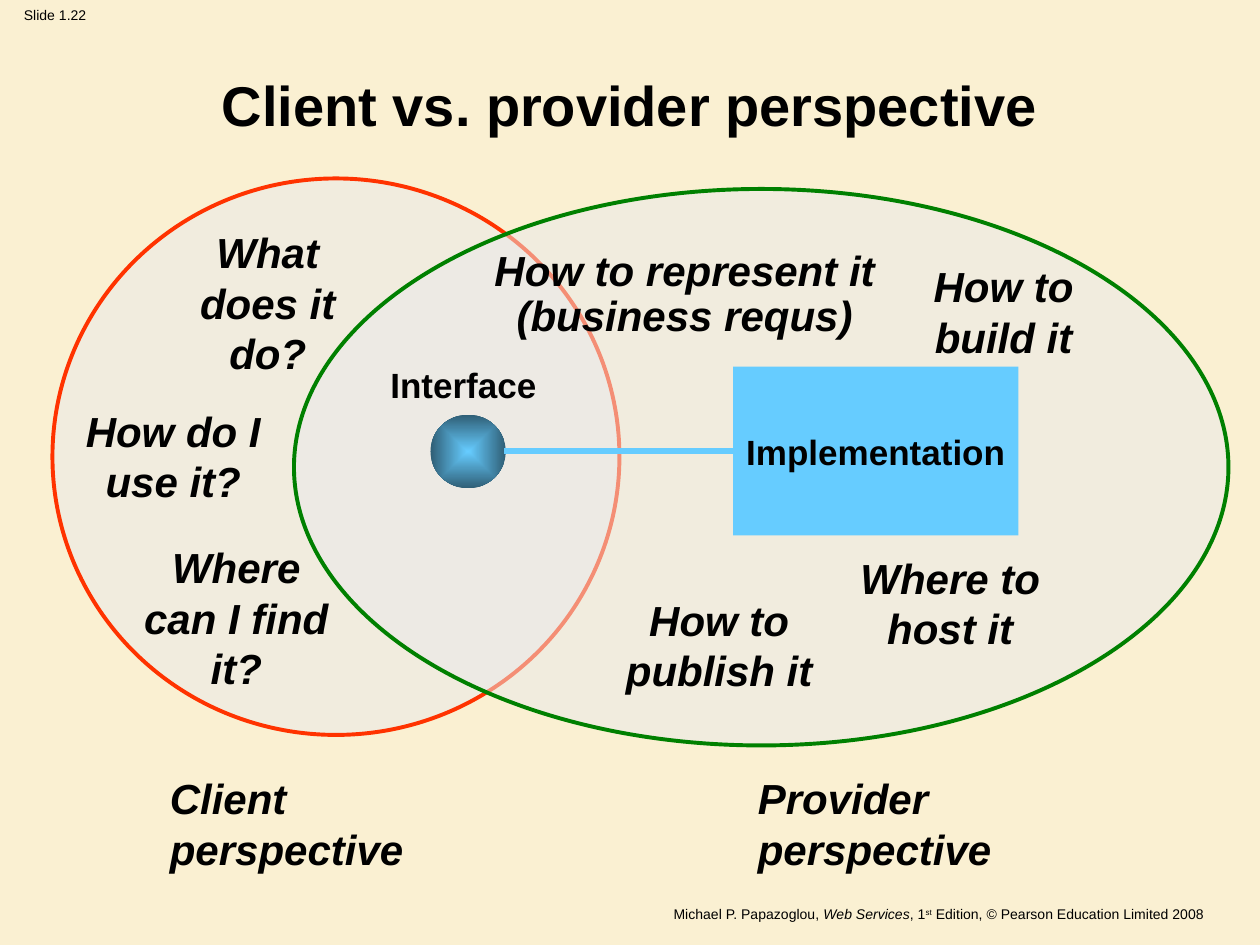
from dataclasses import dataclass
from lxml.etree import SubElement
from pptx import Presentation
from pptx.dml.color import RGBColor
from pptx.enum.shapes import MSO_CONNECTOR, MSO_SHAPE
from pptx.enum.text import MSO_ANCHOR, PP_ALIGN
from pptx.oxml import parse_xml
from pptx.oxml.ns import nsdecls, qn
from pptx.util import Pt


@dataclass(frozen=True)
class Theme:
    font: str = "Arial"
    background: str = "FAF0D2"
    text: str = "000000"
    oval: str = "EAEAEA"
    client: str = "FF3300"
    provider: str = "008000"
    service: str = "66CCFF"
    service_dark: str = "2F5E75"
    title_size: int = 32
    question_size: int = 24
    label_size: int = 20
    small_size: int = 8


THEME = Theme()
QUESTION = {"size": Pt(THEME.question_size), "bold": True, "italic": True}
LABEL = {"size": Pt(THEME.label_size), "bold": True}
TITLE = {"size": Pt(THEME.title_size), "bold": True}
SMALL = {"size": Pt(THEME.small_size)}

# Text, left, top, width, height, line spacing
QUESTIONS = [
    ("What does it do?", 90, 126, 126, 94, 1),
    ("How to represent it (business requs)", 275, 139.5, 232.5, 59, 0.9),
    ("How do I use it?", 36, 228, 126, 65, 1),
    ("Where can I find it?", 72, 306, 126, 94, 1),
    ("Where to host it", 474, 312, 138, 65, 1),
    ("How to publish it", 342, 336, 138, 65, 1),
    ("How to build it", 507.5, 145.5, 132, 65, 1),
]
CAPTIONS = [("Client perspective", 90), ("Provider perspective", 426)]


def set_values(target, values):
    for name, value in values.items():
        setattr(target, name, value)


def add_span(para, text, style):
    span = para.add_run()
    span.text = text
    set_values(span.font, {"name": THEME.font, **style})
    span.font.color.rgb = RGBColor.from_string(THEME.text)
    return span


def add_text(page, text, bounds, style, align=PP_ALIGN.CENTER,
             anchor=MSO_ANCHOR.TOP, wrap=True, spacing=1):
    box = page.shapes.add_textbox(*map(Pt, bounds))
    set_values(box.text_frame, {"word_wrap": wrap, "vertical_anchor": anchor})
    para = box.text_frame.paragraphs[0]
    set_values(para, {"alignment": align, "line_spacing": spacing})
    if text:
        add_span(para, text, style)
    return para


def add_solid(page, kind, bounds, color):
    shape = page.shapes.add_shape(kind, *map(Pt, bounds))
    shape.shadow.inherit = False
    shape.fill.solid()
    shape.fill.fore_color.rgb = RGBColor.from_string(color)
    shape.line.fill.background()
    return shape


def add_perspective(page, bounds, outline):
    oval = add_solid(page, MSO_SHAPE.OVAL, bounds, THEME.oval)
    oval.line.color.rgb = RGBColor.from_string(outline)
    oval.line.width = Pt(2.25)
    color = oval._element.spPr.find(qn("a:solidFill")).find(qn("a:srgbClr"))
    SubElement(color, qn("a:alpha"), val="50000")


def add_interface_ball(page, bounds):
    ball = add_solid(page, MSO_SHAPE.OVAL, bounds, THEME.service)
    properties = ball._element.spPr
    gradient = parse_xml(
        f'<a:gradFill {nsdecls("a")} rotWithShape="1"><a:gsLst>'
        f'<a:gs pos="0"><a:srgbClr val="{THEME.service}"/></a:gs>'
        f'<a:gs pos="100000"><a:srgbClr val="{THEME.service_dark}"/></a:gs>'
        '</a:gsLst><a:path path="rect">'
        '<a:fillToRect l="50000" t="50000" r="50000" b="50000"/>'
        '</a:path></a:gradFill>')
    properties.replace(properties.find(qn("a:solidFill")), gradient)


def add_implementation(page, bounds):
    block = add_solid(page, MSO_SHAPE.RECTANGLE, bounds, THEME.service)
    set_values(block.text_frame, {
        "word_wrap": False, "vertical_anchor": MSO_ANCHOR.MIDDLE,
        "margin_left": Pt(6), "margin_right": Pt(6),
        "margin_top": 0, "margin_bottom": 0})
    para = block.text_frame.paragraphs[0]
    para.alignment = PP_ALIGN.CENTER
    add_span(para, "Implementation", LABEL)
    return block


def add_link(page, left, middle, block):
    link = page.shapes.add_connector(
        MSO_CONNECTOR.STRAIGHT, Pt(left), Pt(middle), block.left, Pt(middle))
    link.end_connect(block, 1)
    link.line.color.rgb = RGBColor.from_string(THEME.service)
    link.line.width = Pt(3)
    SubElement(link._element.spPr, qn("a:effectLst"))


def add_footer(page):
    para = add_text(page, "", (17.5, 514, 680, 15), SMALL, PP_ALIGN.RIGHT)
    add_span(para, "Michael P. Papazoglou, ", SMALL)
    add_span(para, "Web Services", {**SMALL, "italic": True})
    add_span(para, ", 1", SMALL)
    ordinal = add_span(para, "st", SMALL)
    ordinal._r.get_or_add_rPr().set("baseline", "30000")
    add_span(para, " Edition, © Pearson Education Limited 2008 ", SMALL)


def main():
    deck = Presentation()
    set_values(deck, {"slide_width": Pt(720), "slide_height": Pt(540)})
    page = deck.slides.add_slide(deck.slide_layouts[6])
    page.background.fill.solid()
    page.background.fill.fore_color.rgb = RGBColor.from_string(THEME.background)

    # Footer, slide number and title
    add_footer(page)
    add_text(page, "Slide 1.22", (0, 0, 63, 17), SMALL, wrap=False)
    add_text(page, "Client vs. provider perspective", (39, 22, 642, 60),
             TITLE, anchor=MSO_ANCHOR.BOTTOM)

    # Overlapping perspectives
    add_perspective(page, (30, 102, 324, 318), THEME.client)
    add_perspective(page, (168, 108, 534, 318), THEME.provider)

    # Interface joined to its implementation
    add_text(page, "Interface", (216, 204, 102, 32), LABEL, PP_ALIGN.LEFT)
    add_interface_ball(page, (246, 237, 43, 42))
    block = add_implementation(page, (419, 209.5, 163, 96.5))
    add_link(page, 288, 257.75, block)

    # Questions and captions
    for text, *bounds, spacing in QUESTIONS:
        add_text(page, text, bounds, QUESTION, spacing=spacing)
    for text, left in CAPTIONS:
        add_text(page, text, (left, 438, 174, 65), QUESTION, PP_ALIGN.LEFT)

    deck.save("out.pptx")


if __name__ == "__main__":
    main()
